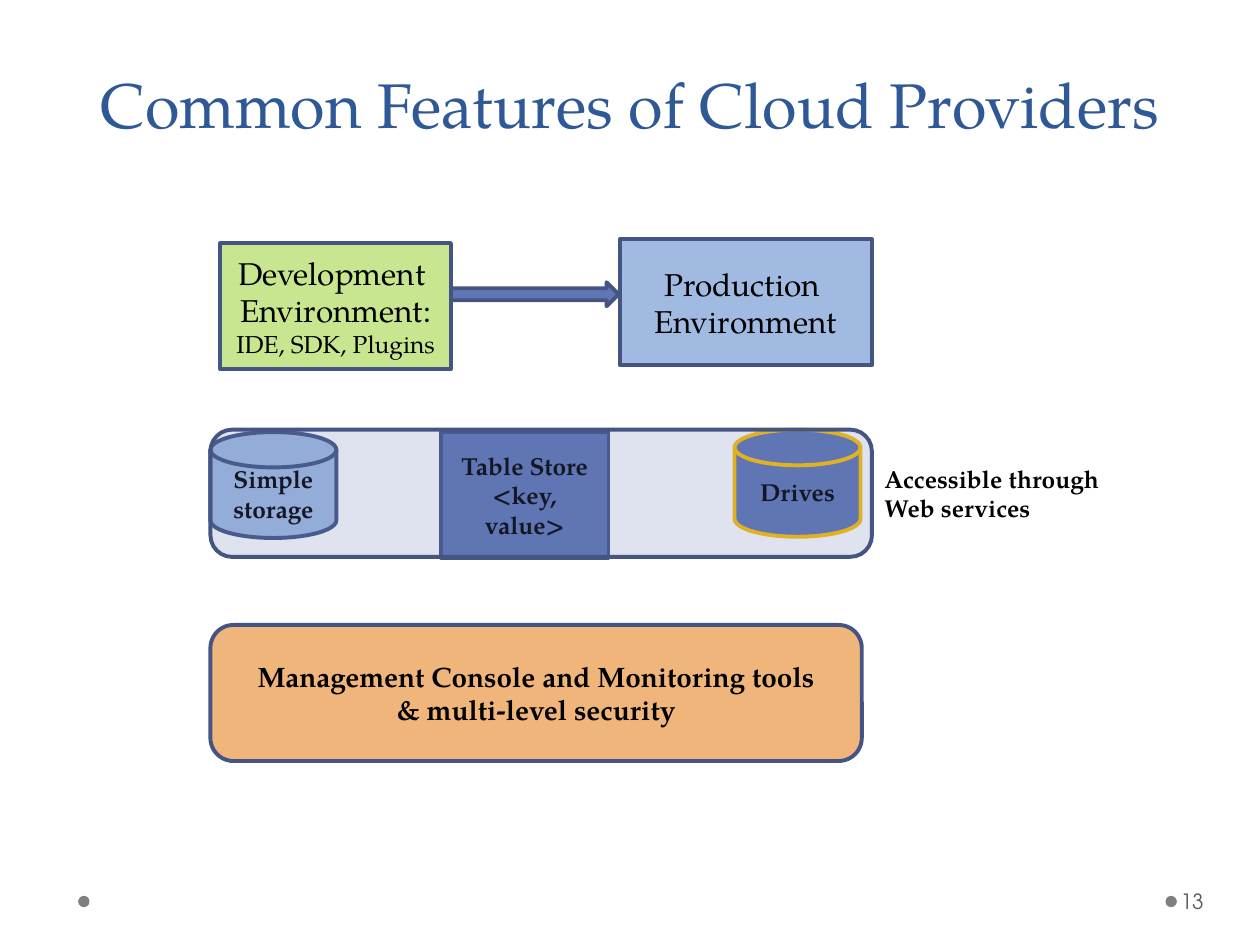
import pptx
import pptx.util
import pptx.dml.color
import pptx.enum.shapes
import pptx.enum.text
import lxml.etree
from dataclasses import dataclass
from typing import Optional

Inches, Pt = pptx.util.Inches, pptx.util.Pt
Kind = pptx.enum.shapes.MSO_SHAPE
Align = pptx.enum.text.PP_ALIGN
Anchor = pptx.enum.text.MSO_ANCHOR
Frame = tuple[float, float, float, float]


@dataclass(frozen=True)
class Theme:
    serif: str = "TeX Gyre Pagella"
    sans: str = "TeX Gyre Adventor"
    title: str = "2F5897"
    ink: str = "000000"
    edge: str = "445583"
    gold: str = "FFC000"
    blue: str = "6076B4"
    sky: str = "A0BAE1"
    green: str = "C7E68F"
    peach: str = "F0B57A"
    dot: str = "7F7F7F"
    gray: str = "595959"
    head: float = 36
    big: float = 18
    mid: float = 16
    small: float = 14
    tiny: float = 12
    stroke: float = 2.25


THEME = Theme()


@dataclass(frozen=True)
class Text:
    lines: tuple[str, ...]
    size: float = THEME.small
    bold: bool = True
    color: str = THEME.ink
    face: str = THEME.serif
    align: Align = Align.CENTER
    note: str = ""  # smaller run at the end of the last line


@dataclass(frozen=True)
class Box:
    kind: Kind
    frame: Frame
    fill: str
    edge: Optional[str] = THEME.edge
    text: Optional[Text] = None
    alpha: int = 100
    round: Optional[float] = None


@dataclass(frozen=True)
class Label:
    frame: Frame
    text: Text
    anchor: Anchor = Anchor.TOP
    wrap: bool = True
    left: float = 0.1
    right: float = 0.1
    lead: Optional[float] = None


def rgb(code: str) -> pptx.dml.color.RGBColor:
    return pptx.dml.color.RGBColor.from_string(code)


def apply(item, form: dict) -> None:
    for name, value in form.items():
        setattr(item, name, value)


def write(frame, text: Text, form: dict, lead: Optional[float] = None) -> None:
    apply(frame, form)
    for num, line in enumerate(text.lines):
        para = frame.paragraphs[0] if num == 0 else frame.add_paragraph()
        para.alignment = text.align
        if lead:
            para.line_spacing = Pt(lead)
        parts = [(line, text.size)]
        if text.note and num == len(text.lines) - 1:
            parts.append((text.note, THEME.small))
        for words, size in parts:
            run = para.add_run()
            run.text = words
            apply(run.font, {"name": text.face, "size": Pt(size), "bold": text.bold})
            run.font.color.rgb = rgb(text.color)


def draw(slide, box: Box) -> None:
    shape = slide.shapes.add_shape(box.kind, *map(Inches, box.frame))
    shape.shadow.inherit = False
    shape.fill.solid()
    shape.fill.fore_color.rgb = rgb(box.fill)
    if box.alpha < 100:
        color = shape.fill._xPr.find(".//" + pptx.oxml.ns.qn("a:srgbClr"))
        tag = pptx.oxml.ns.qn("a:alpha")
        lxml.etree.SubElement(color, tag).set("val", str(box.alpha * 1000))
    if box.edge:
        shape.line.color.rgb = rgb(box.edge)
        shape.line.width = Pt(THEME.stroke)
    else:
        shape.line.fill.background()
    if box.round is not None:
        shape.adjustments[0] = box.round
    if box.text:
        form = {"word_wrap": True, "vertical_anchor": Anchor.MIDDLE}
        write(shape.text_frame, box.text, form)


def place(slide, label: Label) -> None:
    area = slide.shapes.add_textbox(*map(Inches, label.frame))
    form = {
        "word_wrap": label.wrap,
        "vertical_anchor": label.anchor,
        "margin_left": Inches(label.left),
        "margin_right": Inches(label.right),
    }
    write(area.text_frame, label.text, form, label.lead)


# Footer dots
DOTS = [Box(Kind.OVAL, (x, 7.11, 0.09, 0.09), THEME.dot, None) for x in (0.62, 9.25)]

# Environments and the arrow between them
STAGES = [
    Box(Kind.RECTANGLE, (1.75, 1.93, 1.83, 1), THEME.green,
        text=Text(("Development ", "Environment: "), THEME.big, False,
                  note="IDE, SDK, Plugins")),
    Box(Kind.RECTANGLE, (4.92, 1.9, 2, 1), THEME.sky,
        text=Text(("Production ", "Environment"), THEME.big, False)),
    Box(Kind.RIGHT_ARROW, (3.58, 2.24, 1.33, 0.19), THEME.blue),
]

# Storage services under a translucent band
STORES = [
    Box(Kind.FLOWCHART_MAGNETIC_DISK, (1.67, 3.43, 1, 0.84), THEME.sky,
        text=Text(("Simple", "storage"))),
    Box(Kind.RECTANGLE, (3.5, 3.43, 1.33, 1), THEME.blue,
        text=Text(("Table Store <key, value>",))),
    Box(Kind.FLOWCHART_MAGNETIC_DISK, (5.83, 3.41, 1, 0.85), THEME.blue, THEME.gold,
        text=Text(("Drives",))),
    Box(Kind.ROUNDED_RECTANGLE, (1.67, 3.41, 5.25, 1.01), THEME.blue,
        alpha=20, round=0.17),
]

# Management layer
TOOLS = Box(Kind.ROUNDED_RECTANGLE, (1.67, 4.96, 5.17, 1.08), THEME.peach, round=0.17,
            text=Text(("Management Console and Monitoring tools",
                       "& multi-level security"), THEME.mid))

# Title, side remark and page number
LABELS = [
    Label((0.5, 0, 9, 1.17),
          Text(("Common Features of Cloud Providers",), THEME.head, False, THEME.title),
          Anchor.BOTTOM, lead=58),
    Label((6.92, 3.63, 1.95, 0.57),
          Text(("Accessible through", "Web services"), align=Align.LEFT), wrap=False),
    Label((9.34, 6.95, 0.61, 0.4),
          Text(("13",), THEME.tiny, False, THEME.gray, THEME.sans, Align.LEFT),
          Anchor.MIDDLE, left=0.03, right=0.05),
]


def main() -> None:
    deck = pptx.Presentation()
    apply(deck, {"slide_width": Inches(10), "slide_height": Inches(7.5)})
    slide = deck.slides.add_slide(deck.slide_layouts[6])
    for box in [*DOTS, *STAGES, *STORES, TOOLS]:
        draw(slide, box)
    for label in LABELS:
        place(slide, label)
    deck.save("out.pptx")


if __name__ == "__main__":
    main()
